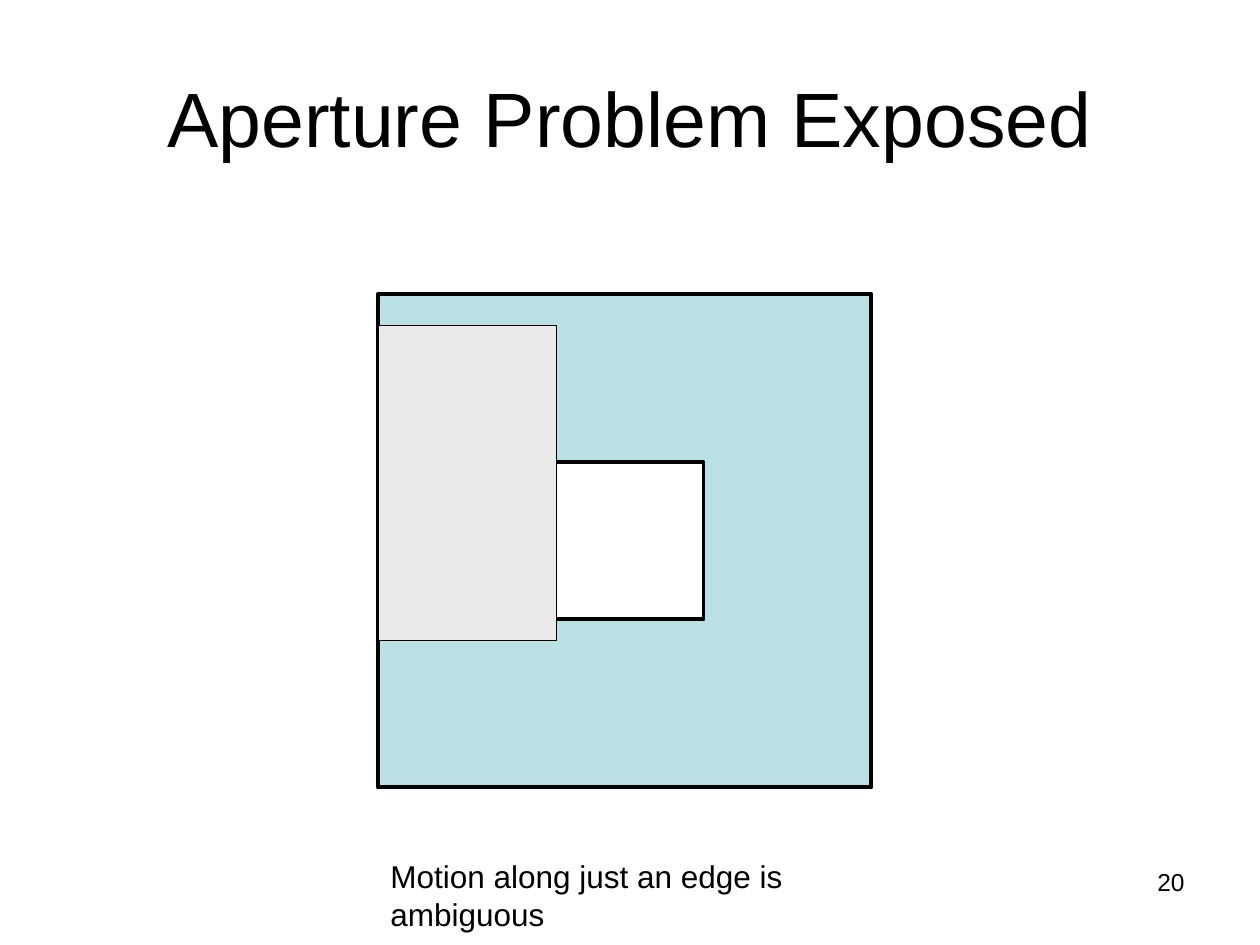
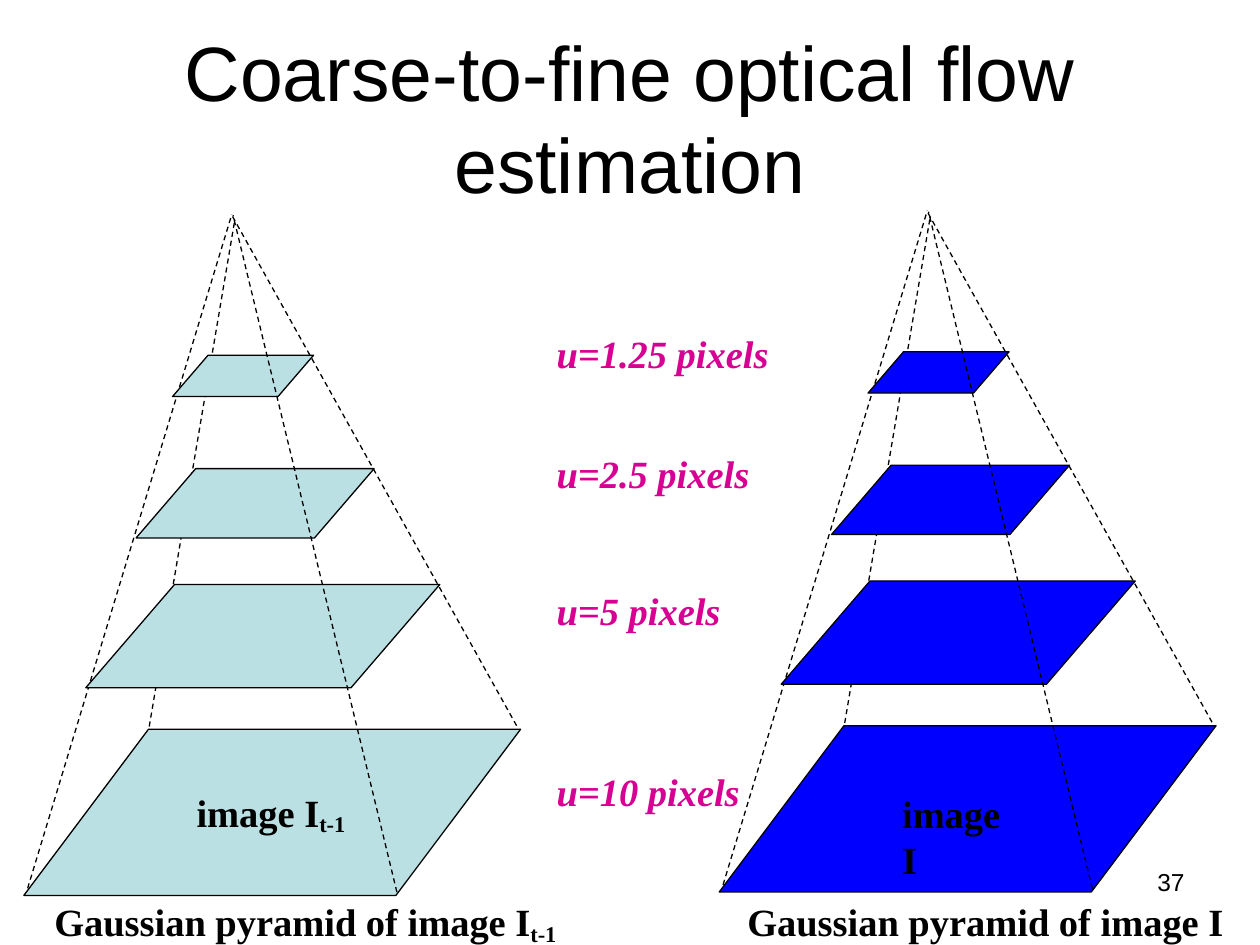
from math import cos, radians, sin

from lxml import etree
from pptx import Presentation
from pptx.dml.color import RGBColor
from pptx.enum import dml, shapes, text
from pptx.oxml.ns import qn
from pptx.util import Pt

COLORS = {"ink": "000000", "teal": "BBE0E3", "grey": "EAEAEA",
          "blue": "0000FF", "flow": "D60093"}
SANS, SERIF = "Arial", "Times New Roman"
INSETS = (7.2, 3.6)

# Slide 1: a square frame of four bands around an open window
APERTURE = {
    "title": "Aperture Problem Exposed", "number": "20",
    "caption": "Motion along just an edge is ambiguous",
    "center": (357, 309), "side": 282, "band": 96,
    "window": (312, 264, 90, 90), "cover": (216, 186, 102, 180),
}

# Slide 2: one pyramid outline, drawn twice; text is (main part, subscript)
FLOW = {"title": "Coarse-to-fine optical flow estimation", "number": "37"}
BACK_EDGES = [((15.8, 507.6), (132.5, 122.4)),
              ((295.2, 414.7), (132.5, 123)),
              ((133.9, 127.4), (85, 416.9))]
FRONT_EDGE = ((226.8, 509.8), (133.2, 123))
LEVELS = [  # left, top, width, height, slant
    (13.6, 416.7, 283.9, 95, 0.75),
    (77.8, 267.8, 136, 39.6, 0.86),
    (49, 334, 202.3, 59, 0.86),
    (98.6, 203, 80.6, 23.6, 0.86),
]
PYRAMIDS = [
    {"shift": (0, 0), "fill": "teal", "sub": "t-1",
     "image_box": (112.3, 450.7, 85, 28), "caption_box": (31, 513.4, 287.3, 28)},
    {"shift": (397.4, -2), "fill": "blue", "sub": "",
     "image_box": (515.5, 451.4, 69.8, 26.6), "caption_box": (427, 513.4, 272.2, 26.6)},
]
FLOW_LABELS = [  # text, top, width
    ("u=10 pixels", 435.6, 118.8),
    ("u=5 pixels", 331.9, 108),
    ("u=2.5 pixels", 253.4, 124.6),
    ("u=1.25 pixels", 185, 135.4),
]
FLOW_LEFT = 311


def color(name):
    return RGBColor.from_string(COLORS[name])


def add_text(s, box, content, size, font=SANS, ink="ink", bold=False, italic=False,
             align=text.PP_ALIGN.LEFT, wrap=False, insets=INSETS, sub="",
             anchor=text.MSO_ANCHOR.TOP):
    tf = s.shapes.add_textbox(*map(Pt, box)).text_frame
    tf.word_wrap = wrap
    tf.vertical_anchor = anchor
    tf.margin_left = tf.margin_right = Pt(insets[0])
    tf.margin_top = tf.margin_bottom = Pt(insets[1])
    tf.text = content
    p = tf.paragraphs[0]
    p.alignment = align
    if sub:
        r = p.add_run()
        r.text = sub
        r.font._element.set("baseline", "-15000")
    for r in p.runs:
        r.font.name, r.font.size = font, Pt(size)
        r.font.bold, r.font.italic = bold, italic
        r.font.color.rgb = color(ink)


def add_area(s, box, fill=None, line=None, kind=shapes.MSO_SHAPE.RECTANGLE):
    sp = s.shapes.add_shape(kind, *map(Pt, box))
    sp.shadow.inherit = False
    if fill:
        sp.fill.solid()
        sp.fill.fore_color.rgb = color(fill)
    else:
        sp.fill.background()
    if line:
        sp.line.color.rgb = color("ink")
        sp.line.width = Pt(line)
    else:
        sp.line.fill.background()
    return sp


def add_edge(s, edge, shift):
    ends = [Pt(v + d) for point in edge for v, d in zip(point, shift)]
    c = s.shapes.add_connector(shapes.MSO_CONNECTOR.STRAIGHT, *ends)
    c.line.color.rgb = color("ink")
    c.line.width = Pt(0.75)
    c.line.dash_style = dml.MSO_LINE.DASH
    etree.SubElement(c._element.spPr, qn("a:effectLst"))


def new_slide(prs, content):
    """Add a blank slide with the shared title and slide number."""
    s = prs.slides.add_slide(prs.slide_layouts[6])
    add_text(s, (36, 21.6, 648, 90), content["title"], 44, wrap=True,
             align=text.PP_ALIGN.CENTER, anchor=text.MSO_ANCHOR.MIDDLE)
    add_text(s, (516, 492, 168, 37.5), content["number"], 14, wrap=True,
             align=text.PP_ALIGN.RIGHT)
    return s


def add_aperture(s, content):
    (cx, cy), side, band = content["center"], content["side"], content["band"]
    reach = (side - band) / 2
    for angle in (0, 90, 270, 180):
        x = cx + reach * sin(radians(angle))
        y = cy - reach * cos(radians(angle))
        sp = add_area(s, (x - side / 2, y - band / 2, side, band), "teal")
        sp.rotation = angle % 180 if angle < 270 else angle
    add_area(s, content["window"], line=2.25)
    add_area(s, (cx - side / 2, cy - side / 2, side, side), line=2.25)
    add_area(s, content["cover"], "grey", 0.75)
    add_text(s, (216, 486, 331, 29), content["caption"], 18)


def add_pyramid(s, pyramid):
    dx, dy = pyramid["shift"]
    for edge in BACK_EDGES:
        add_edge(s, edge, (dx, dy))
    for left, top, width, height, slant in LEVELS:
        sp = add_area(s, (left + dx, top + dy, width, height), pyramid["fill"], 0.75,
                      shapes.MSO_SHAPE.PARALLELOGRAM)
        sp.adjustments[0] = slant
    add_edge(s, FRONT_EDGE, (dx, dy))
    for key, content in (("caption_box", "Gaussian pyramid of image I"),
                         ("image_box", "image I")):
        add_text(s, pyramid[key], content, 22, SERIF, bold=True, insets=(0, 0),
                 sub=pyramid["sub"])


def main():
    prs = Presentation()
    prs.slide_width, prs.slide_height = Pt(720), Pt(540)

    add_aperture(new_slide(prs, APERTURE), APERTURE)

    s = new_slide(prs, FLOW)
    for pyramid in PYRAMIDS:
        add_pyramid(s, pyramid)
    for content, top, width in FLOW_LABELS:
        add_text(s, (FLOW_LEFT, top, width, 33.8), content, 22, SERIF, "flow",
                 bold=True, italic=True)

    prs.save("out.pptx")


if __name__ == "__main__":
    main()
